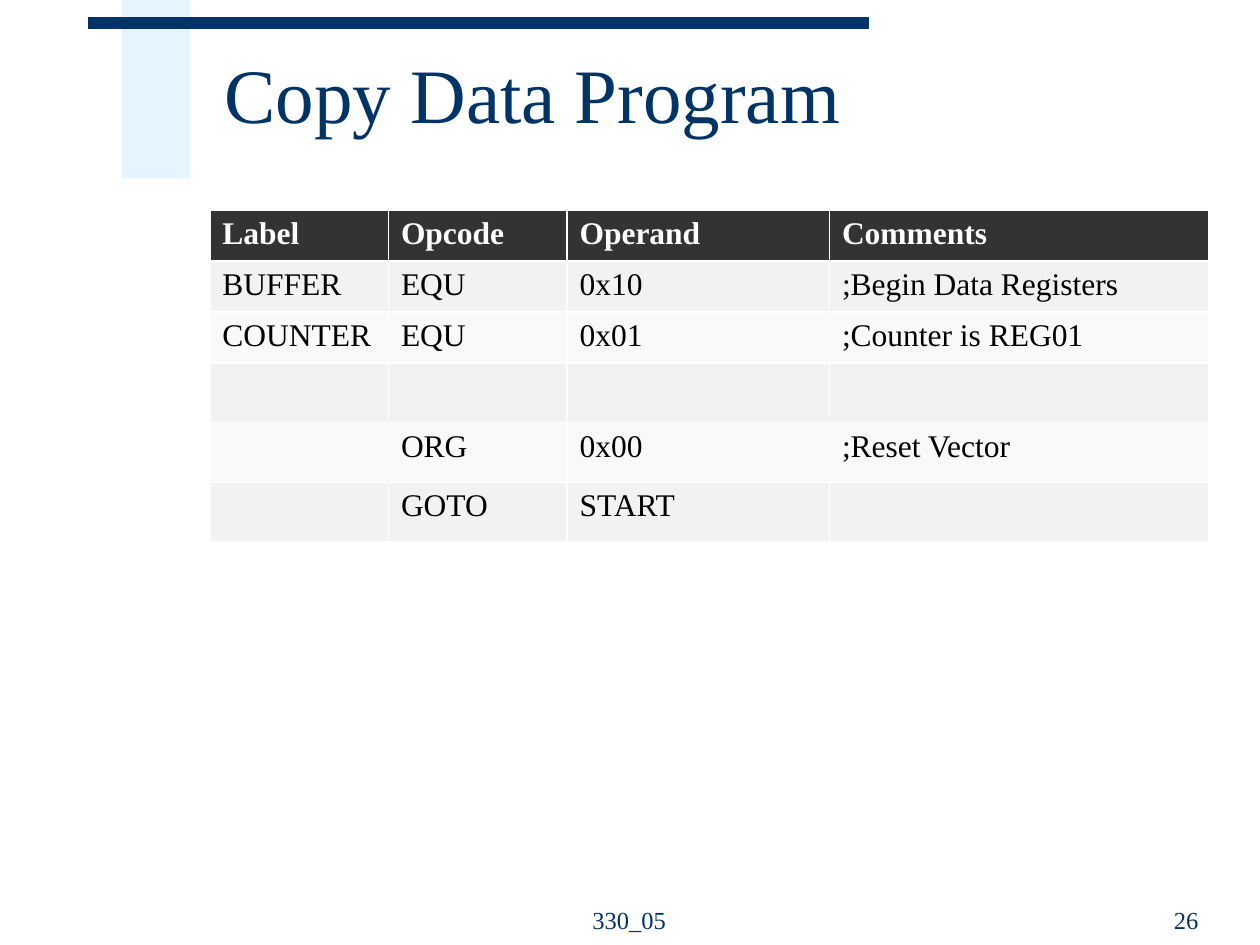
from lxml.etree import SubElement
from pptx import Presentation
from pptx.dml.color import RGBColor
from pptx.enum.shapes import MSO_SHAPE
from pptx.enum.text import MSO_ANCHOR, MSO_AUTO_SIZE, PP_ALIGN
from pptx.oxml.ns import qn
from pptx.util import Cm, Pt

# Content
TITLE = "Copy Data Program"
ROWS = [
    ("Label", "Opcode", "Operand", "Comments"),
    ("BUFFER", "EQU", "0x10", ";Begin Data Registers"),
    ("COUNTER", "EQU", "0x01", ";Counter is REG01"),
    ("", "", "", ""),
    ("", "ORG", "0x00", ";Reset Vector"),
    ("", "GOTO", "START", ""),
]
# Text, left, width and alignment of each footer
FOOTERS = [
    ("330_05", 10.36, 4.65, PP_ALIGN.CENTER),
    ("26", 18.31, 6.1, PP_ALIGN.RIGHT),
]

# Style, lengths in centimetres
FONT = "Times New Roman"
NAVY, PALE_BLUE, HEADER = "003366", "CCECFF", "333333"
BANDS = ("F9F9F9", "F2F2F2")
COLUMN_WIDTHS = (3.6, 3.6, 5.29, 7.65)
ROW_HEIGHTS = {True: 1.03, False: 1.2}  # full rows, rows with empty cells


def color(hex_code):
    return RGBColor.from_string(hex_code)


def style_font(font, size, hex_code, bold=False):
    font.name, font.size, font.bold = FONT, Pt(size), bold
    font.color.rgb = color(hex_code)


def add_text(para, text, size, hex_code, bold=False):
    span = para.add_run()
    span.text = text
    style_font(span.font, size, hex_code, bold)


def add_bar(page, left, top, width, height, hex_code):
    bar = page.shapes.add_shape(
        MSO_SHAPE.RECTANGLE, Cm(left), Cm(top), Cm(width), Cm(height))
    bar.shadow.inherit = False
    bar.fill.solid()
    bar.fill.fore_color.rgb = color(hex_code)
    return bar


def add_decoration(page):
    stripe = add_bar(page, 2.46, 0, 1.38, 3.6, PALE_BLUE)
    stripe.line.fill.background()
    fill_color = stripe.fill._xPr.find(".//" + qn("a:srgbClr"))
    SubElement(fill_color, qn("a:alpha"), val="50000")

    rule = add_bar(page, 1.78, 0.35, 15.72, 0.22, NAVY)
    rule.line.color.rgb = color(NAVY)
    rule.line.width = Pt(0.75)


def add_title(page):
    title = page.shapes.title
    title.left, title.top = Cm(4.27), Cm(0.43)
    title.width, title.height = Cm(20.5), Cm(3.18)
    frame = title.text_frame
    frame.auto_size = MSO_AUTO_SIZE.NONE
    frame.vertical_anchor = MSO_ANCHOR.MIDDLE
    para = frame.paragraphs[0]
    para.alignment = PP_ALIGN.LEFT
    para.line_spacing = 0.85
    add_text(para, TITLE, 44, NAVY)
    # Bring the title in front of the decoration
    page.shapes._spTree.append(title._element)


def add_program_table(page):
    heights = [ROW_HEIGHTS[all(row)] for row in ROWS]
    table = page.shapes.add_table(
        len(ROWS), len(COLUMN_WIDTHS), Cm(4.23), Cm(4.23),
        Cm(sum(COLUMN_WIDTHS)), Cm(sum(heights))).table
    for column, width in zip(table.columns, COLUMN_WIDTHS):
        column.width = Cm(width)
    for index, (values, height) in enumerate(zip(ROWS, heights)):
        is_header = index == 0
        row = table.rows[index]
        row.height = Cm(height)
        for cell, value in zip(row.cells, values):
            cell.fill.solid()
            cell.fill.fore_color.rgb = color(HEADER if is_header else BANDS[index % 2])
            para = cell.text_frame.paragraphs[0]
            if value:
                add_text(para, value, 18, "FFFFFF" if is_header else "000000", is_header)
            else:
                style_font(para.font, 18, "000000")


def add_footers(page):
    for text, left, width, alignment in FOOTERS:
        box = page.shapes.add_textbox(Cm(left), Cm(17.7), Cm(width), Cm(1.27))
        frame = box.text_frame
        frame.word_wrap = True
        frame.vertical_anchor = MSO_ANCHOR.BOTTOM
        para = frame.paragraphs[0]
        para.alignment = alignment
        add_text(para, text, 14, NAVY)


def main():
    deck = Presentation()
    deck.slide_width, deck.slide_height = Cm(25.4), Cm(19.05)
    page = deck.slides.add_slide(deck.slide_layouts.get_by_name("Title Only"))
    add_decoration(page)
    add_title(page)
    add_program_table(page)
    add_footers(page)
    deck.save("out.pptx")


if __name__ == "__main__":
    main()
